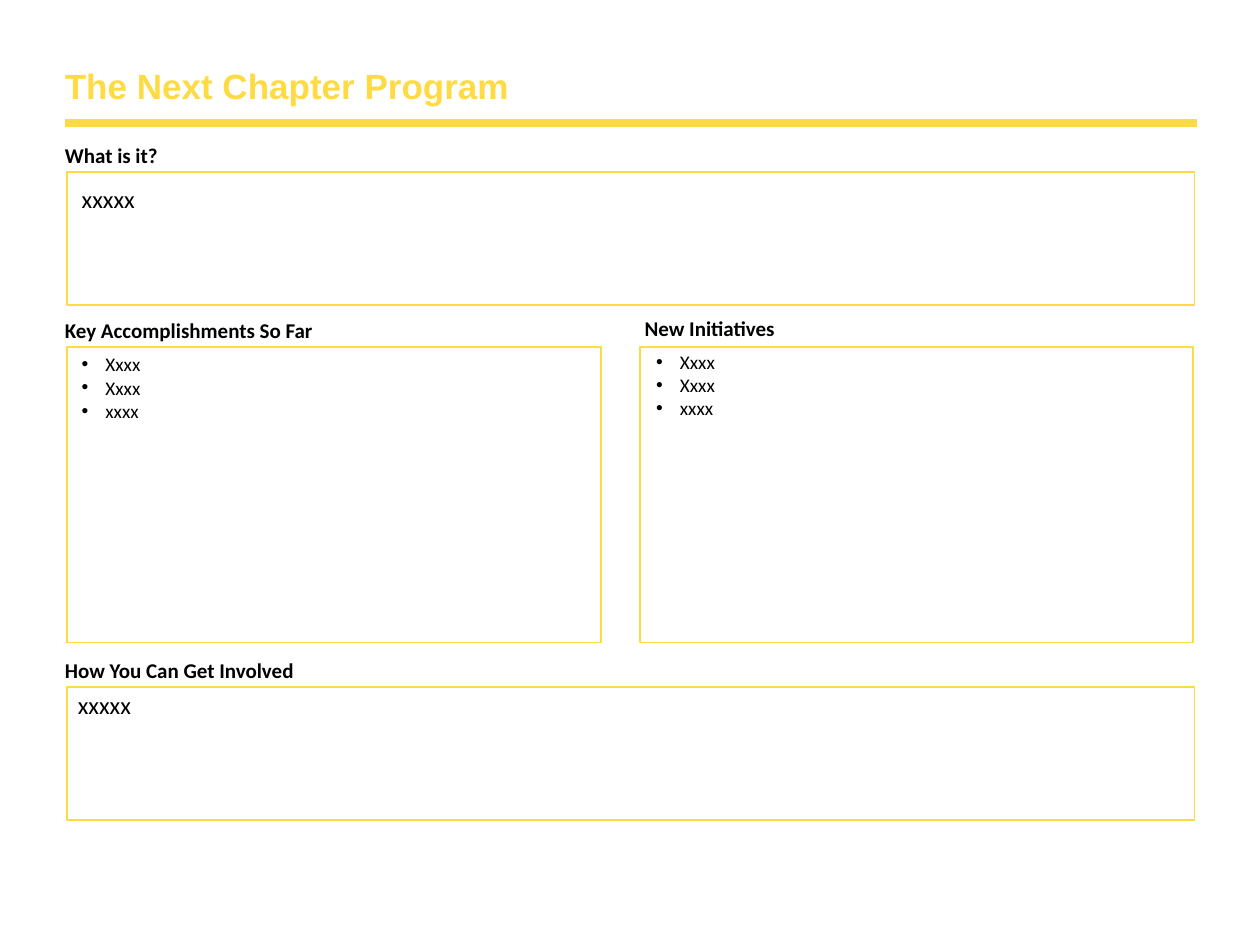
from lxml import etree
from pptx import Presentation
from pptx.dml.color import RGBColor
from pptx.enum.shapes import MSO_CONNECTOR, MSO_SHAPE
from pptx.enum.text import MSO_AUTO_SIZE
from pptx.oxml.ns import qn
from pptx.util import Pt

YELLOW = "FFDB43"
BLACK = "000000"
INDENT = 13.5


def color(hex_text):
    return RGBColor.from_string(hex_text)


def add_rule(s, x1, x2, y):
    line = s.shapes.add_connector(MSO_CONNECTOR.STRAIGHT, Pt(x1), Pt(y), Pt(x2), Pt(y))
    line.line.color.rgb = color(YELLOW)
    line.line.width = Pt(4.5)
    etree.SubElement(line._element.spPr, qn("a:effectLst"))


def add_frame(s, x, y, w, h):
    sp = s.shapes.add_shape(MSO_SHAPE.RECTANGLE, Pt(x), Pt(y), Pt(w), Pt(h))
    sp.shadow.inherit = False
    sp.fill.background()
    sp.line.color.rgb = color(YELLOW)
    sp.line.width = Pt(1)


def add_bullet(p):
    pPr = p._p.get_or_add_pPr()
    pPr.set("marL", str(Pt(INDENT)))
    pPr.set("indent", str(-Pt(INDENT)))
    etree.SubElement(pPr, qn("a:buFont"), typeface="Arial")
    etree.SubElement(pPr, qn("a:buChar"), char="•")


def add_text(s, x, y, w, h, lines, size, bold=False, font="Calibri", hex_text=BLACK, bullets=False):
    tf = s.shapes.add_textbox(Pt(x), Pt(y), Pt(w), Pt(h)).text_frame
    tf.word_wrap = True
    tf.auto_size = MSO_AUTO_SIZE.SHAPE_TO_FIT_TEXT
    for i, line in enumerate(lines):
        p = tf.add_paragraph() if i else tf.paragraphs[0]
        if bullets:
            add_bullet(p)
        r = p.add_run()
        r.text = line
        r.font.name = font
        r.font.size = Pt(size)
        r.font.bold = bold
        r.font.color.rgb = color(hex_text)


def main():
    prs = Presentation()
    prs.slide_width, prs.slide_height = Pt(720), Pt(540)
    s = prs.slides.add_slide(prs.slide_layouts[6])

    add_rule(s, 37.4, 684, 70.5)
    add_text(s, 30, 33.3, 446, 31.5, ["The Next Chapter Program"], 20, True, "Arial", YELLOW)

    headings = [
        ("What is it?", 30, 77.9, 190),
        ("Key Accomplishments So Far", 30, 178, 294),
        ("New Initiatives", 361.3, 176.6, 294),
        ("How You Can Get Involved", 30, 372.1, 324),
    ]
    for heading, x, y, w in headings:
        add_text(s, x, y, w, 21.8, [heading], 12, bold=True)

    frames = [
        (38.2, 98.2, 644.4, 76),
        (38.2, 198.4, 305.3, 168.8),
        (365.6, 198.4, 316.1, 168.8),
        (38.2, 392.5, 644.4, 76),
    ]
    for frame in frames:
        add_frame(s, *frame)

    for x, y in [(39.6, 101.5), (37.4, 390.5)]:
        add_text(s, x, y, 628.6, 24.2, ["xxxxx"], 14)
    for x, y in [(39.6, 198), (367.9, 196.6)]:
        add_text(s, x, y, 298, 47.5, ["Xxxx", "Xxxx", "xxxx"], 11, bullets=True)

    prs.save("out.pptx")


if __name__ == "__main__":
    main()
